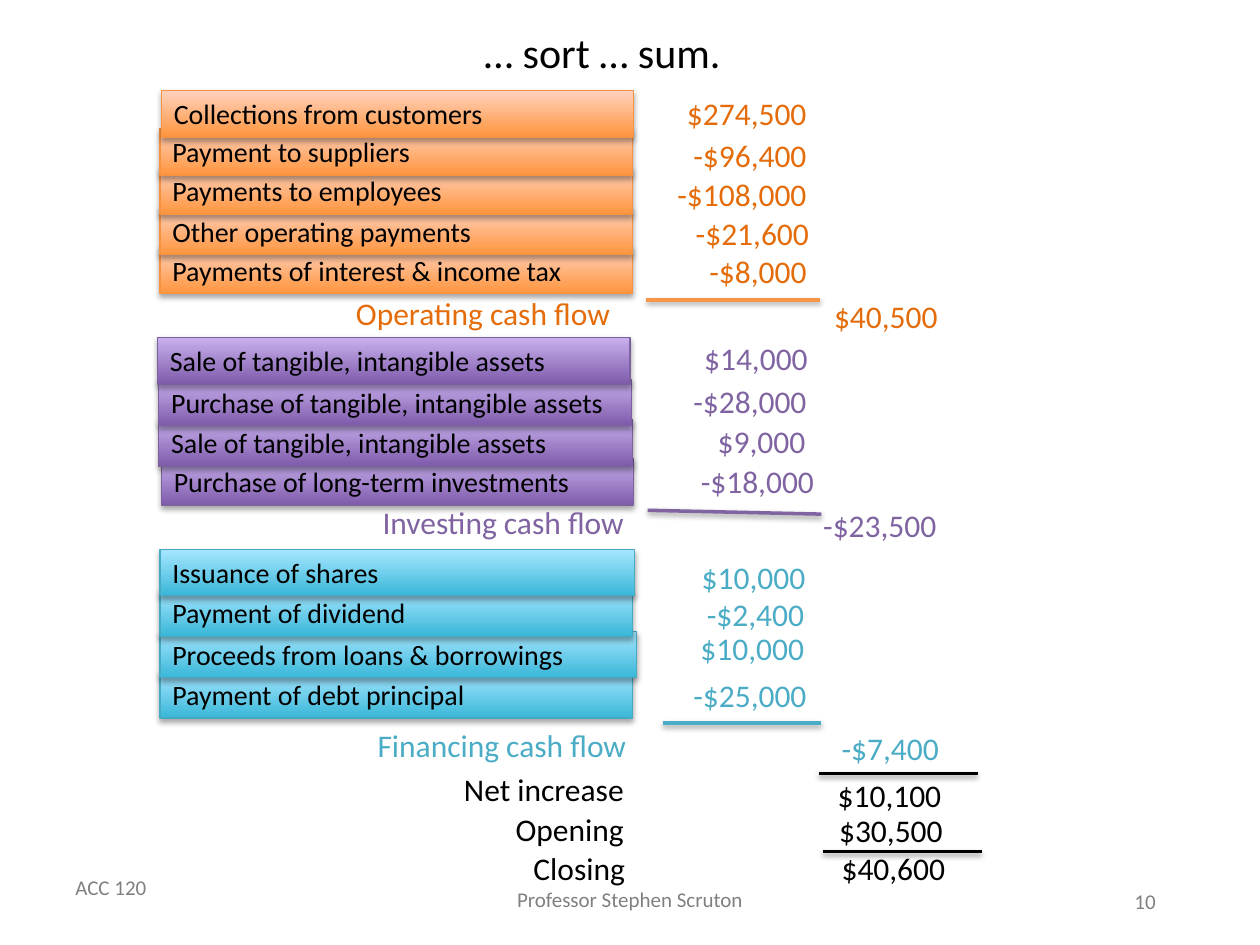
from dataclasses import dataclass

import pptx
import pptx.dml.color
import pptx.enum.shapes
import pptx.enum.text
import pptx.oxml
import pptx.oxml.ns
import pptx.util

Pt = pptx.util.Pt
Align = pptx.enum.text.PP_ALIGN
Anchor = pptx.enum.text.MSO_ANCHOR

FONT = "Calibri"
BAR_HEIGHT = 26.6
TEXT_HEIGHT = 29
COLORS = {
    "black": "000000", "gray": "808080",
    "operating": "E46C0A", "operating_rule": "F79646", "operating_edge": "F69240",
    "operating_dark": "FF953E", "operating_light": "FFD2BD",
    "investing": "8064A2", "investing_rule": "8064A2", "investing_edge": "7D60A0",
    "investing_dark": "7F5BAB", "investing_light": "C8B0ED",
    "financing": "4BACC6", "financing_rule": "4BACC6", "financing_edge": "46AAC5",
    "financing_dark": "39B7D8", "financing_light": "A7E6FF",
}


@dataclass
class CashItem:
    label: str
    left: float
    top: float
    amount: str
    amount_right: float
    amount_top: float
    width: float = 270


@dataclass
class Total:
    label: str
    right: float
    top: float
    width: float
    amount: str
    amount_right: float
    amount_top: float
    color: str = "black"


@dataclass
class Rule:
    x1: float
    y1: float
    x2: float
    y2: float
    color: str = "black"


SECTIONS = {
    "operating": [
        CashItem("Collections from customers", 92.2, 51.8, "$274,500", 468, 50.4),
        CashItem("Payment to suppliers", 91.4, 73.4, "-$96,400", 468, 74.2),
        CashItem("Payments to employees", 91.4, 95.8, "-$108,000", 468, 96.5),
        CashItem("Other operating payments", 91.4, 118.8, "-$21,600", 469.4, 118.8),
        CashItem("Payments of interest & income tax", 91.4, 141.1, "-$8,000", 468, 140.4),
    ],
    "investing": [
        CashItem("Sale of tangible, intangible assets", 90, 193, "$14,000", 468.7, 190.1),
        CashItem("Purchase of tangible, intangible assets", 90.7, 216.7, "-$28,000", 468, 214.6),
        CashItem("Sale of tangible, intangible assets", 90.7, 239.8, "$9,000", 467.3, 237.6, 270.7),
        CashItem("Purchase of long-term investments", 92.2, 262.1, "-$18,000", 472.3, 260.6),
    ],
    "financing": [
        CashItem("Issuance of shares", 91.4, 313.9, "$10,000", 467.3, 315.4, 271.4),
        CashItem("Payment of dividend", 91.4, 337, "-$2,400", 466.6, 336.2),
        CashItem("Proceeds from loans & borrowings", 91.4, 360.7, "$10,000", 466.6, 355.7, 272.2),
        CashItem("Payment of debt principal", 91.4, 383.8, "-$25,000", 468, 383),
    ],
}
TOTALS = [
    Total("Operating cash flow", 355.7, 164.2, 162, "$40,500", 542.9, 166.3, "operating"),
    Total("Investing cash flow", 363.6, 283.7, 154.8, "-$23,500", 542.2, 285.8, "investing"),
    Total("Financing cash flow", 365, 411.1, 158.4, "-$7,400", 543.6, 413.3, "financing"),
    Total("Net increase", 363.6, 436.3, 107.3, "$10,100", 545, 439.9),
    Total("Opening", 363.6, 459.4, 77, "$30,500", 545.8, 460.1),
    Total("Closing", 364.3, 481.7, 67.7, "$40,600", 547.2, 481.7),
]
RULES = [
    Rule(369.4, 171.4, 468.7, 171.4, "operating_rule"),
    Rule(370.1, 291.6, 469.4, 293.8, "investing_rule"),
    Rule(378.7, 413.3, 469.4, 413.3, "financing_rule"),
    Rule(468, 442.1, 558.7, 442.1),
    Rule(470.2, 486.7, 560.9, 486.7),
]


def rgb(name: str):
    return pptx.dml.color.RGBColor.from_string(COLORS[name])


def write_text(shape, text: str, *, size: float = 18, color: str = "black",
               align=Align.LEFT, anchor=Anchor.TOP, wrap: bool = True) -> None:
    frame = shape.text_frame
    frame.word_wrap = wrap
    frame.vertical_anchor = anchor
    paragraph = frame.paragraphs[0]
    paragraph.alignment = align
    run = paragraph.add_run()
    run.text = text
    run.font.name = FONT
    run.font.size = Pt(size)
    run.font.color.rgb = rgb(color)


def add_text(slide, text: str, left: float, top: float, width: float,
             height: float = TEXT_HEIGHT, **text_format) -> None:
    box = slide.shapes.add_textbox(Pt(left), Pt(top), Pt(width), Pt(height))
    write_text(box, text, **text_format)


def add_amount(slide, amount: str, right: float, top: float, color: str) -> None:
    # Box width follows the character widths plus the side insets
    narrow = {",": 4.5, "-": 5.5}
    width = 14.4 + sum(narrow.get(character, 9.13) for character in amount)
    add_text(slide, amount, right - width, top, width,
             color=color, align=Align.RIGHT, wrap=False)


def add_shadow(shape, distance: float, opacity: int) -> None:
    shape._element.spPr.append(pptx.oxml.parse_xml(
        f'<a:effectLst {pptx.oxml.ns.nsdecls("a")}>'
        f'<a:outerShdw blurRad="{Pt(3.1)}" dist="{Pt(distance)}" dir="5400000" rotWithShape="0">'
        f'<a:srgbClr val="{COLORS["black"]}"><a:alpha val="{opacity * 1000}"/></a:srgbClr>'
        '</a:outerShdw></a:effectLst>'))


def add_bar(slide, item: CashItem, section: str) -> None:
    bar = slide.shapes.add_shape(
        pptx.enum.shapes.MSO_SHAPE.RECTANGLE,
        Pt(item.left), Pt(item.top), Pt(item.width), Pt(BAR_HEIGHT))
    bar.fill.gradient()
    bar.fill.gradient_angle = 90
    for stop, tone in zip(bar.fill.gradient_stops, ("dark", "light")):
        stop.color.rgb = rgb(f"{section}_{tone}")
    bar.line.color.rgb = rgb(f"{section}_edge")
    bar.line.width = Pt(0.75)
    add_shadow(bar, 1.8, 35)
    write_text(bar, item.label, size=16)


def add_rule(slide, rule: Rule) -> None:
    line = slide.shapes.add_connector(
        pptx.enum.shapes.MSO_CONNECTOR.STRAIGHT,
        Pt(rule.x1), Pt(rule.y1), Pt(rule.x2), Pt(rule.y2))
    line.line.color.rgb = rgb(rule.color)
    line.line.width = Pt(2)
    add_shadow(line, 1.6, 38)


presentation = pptx.Presentation()
presentation.slide_width, presentation.slide_height = Pt(720), Pt(540)
slide = presentation.slides.add_slide(presentation.slide_layouts[5])

# Title
title = slide.shapes.title
title.left, title.top, title.width, title.height = Pt(38.2), Pt(4.3), Pt(612), Pt(50.4)
write_text(title, "… sort … sum.", size=24, align=Align.CENTER, anchor=Anchor.MIDDLE)

# Cash items, each bar overlapping the one below it
for section, items in SECTIONS.items():
    for item in reversed(items):
        add_bar(slide, item, section)
        add_amount(slide, item.amount, item.amount_right, item.amount_top, section)

# Totals and sum lines
for total in TOTALS:
    add_text(slide, total.label, total.right - total.width, total.top, total.width,
             color=total.color, align=Align.RIGHT, wrap=False)
    add_amount(slide, total.amount, total.amount_right, total.amount_top, total.color)
for rule in RULES:
    add_rule(slide, rule)

# Footer
add_text(slide, "ACC 120", 36, 496.1, 55.4, 21.8, size=12, color="gray", wrap=False)
add_text(slide, "Professor Stephen Scruton", 287.3, 503.3, 145.4, 21.8,
         size=12, color="gray", align=Align.CENTER, wrap=False)
add_text(slide, "10", 499.7, 500.4, 167.8, size=12, color="gray",
         align=Align.RIGHT, anchor=Anchor.MIDDLE)

presentation.save("out.pptx")
